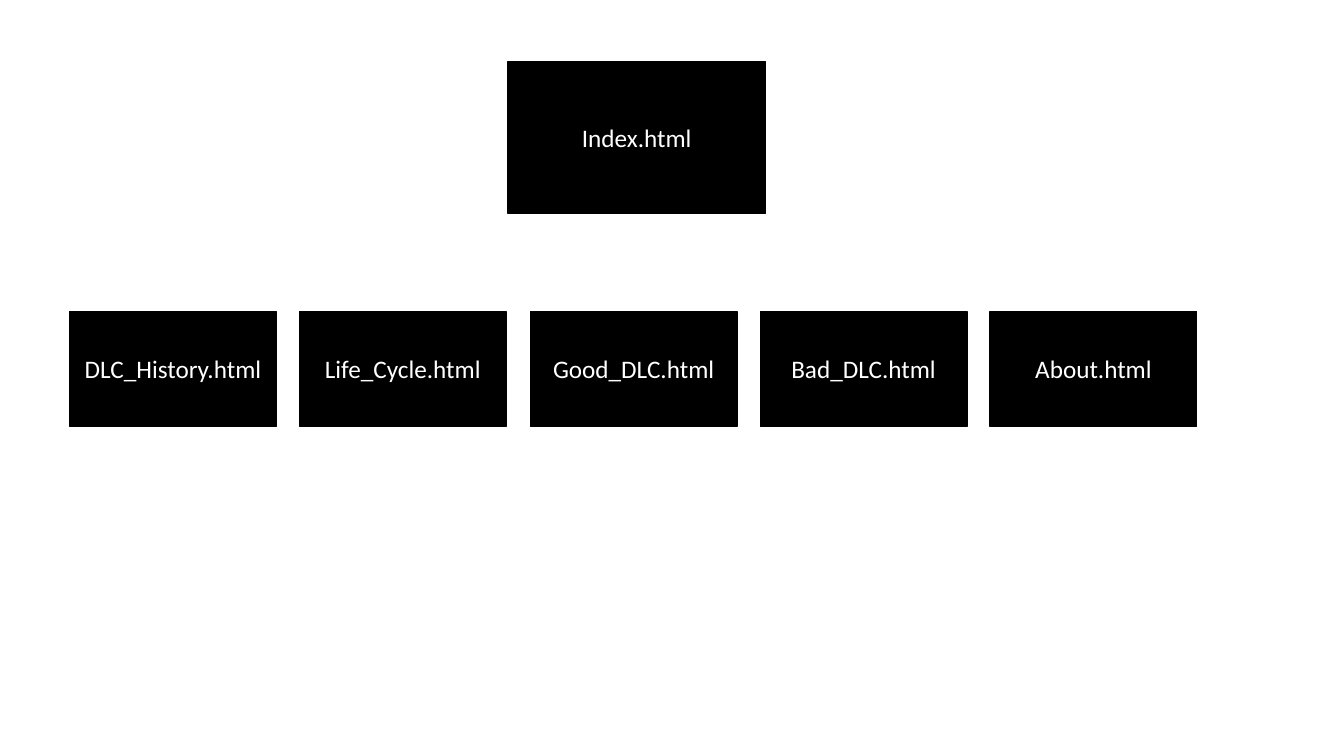
from pptx import Presentation
from pptx.dml.color import RGBColor
from pptx.enum.shapes import MSO_SHAPE
from pptx.enum.text import MSO_ANCHOR, PP_ALIGN
from pptx.util import Inches, Pt

RECTANGLE = MSO_SHAPE.RECTANGLE
MIDDLE = MSO_ANCHOR.MIDDLE
CENTER = PP_ALIGN.CENTER

BLACK = "000000"
WHITE = "FFFFFF"
CHILD_PAGES = [
    "DLC_History.html",
    "Life_Cycle.html",
    "Good_DLC.html",
    "Bad_DLC.html",
    "About.html",
]
CHILD_LEFT = 0.69
CHILD_STEP = 2.2825


def set_color(color_format, value):
    color_format.rgb = RGBColor.from_string(value)


def add_page_box(slide, label, left, top, width, height):
    box = slide.shapes.add_shape(
        RECTANGLE, Inches(left), Inches(top), Inches(width), Inches(height)
    )
    box.shadow.inherit = False
    box.fill.solid()
    set_color(box.fill.fore_color, BLACK)
    set_color(box.line.color, BLACK)
    box.line.width = Pt(1)
    frame = box.text_frame
    frame.word_wrap = True
    frame.vertical_anchor = MIDDLE
    para = frame.paragraphs[0]
    para.alignment = CENTER
    span = para.add_run()
    span.text = label
    span.font.name = "Calibri"
    span.font.size = Pt(18)
    set_color(span.font.color, WHITE)


def main():
    deck = Presentation()
    deck.slide_width = Inches(13.33)
    deck.slide_height = Inches(7.5)
    slide = deck.slides.add_slide(deck.slide_layouts[6])
    add_page_box(slide, "Index.html", 5.04, 0.61, 2.55, 1.51)
    for column, label in enumerate(CHILD_PAGES):
        left = round(CHILD_LEFT + column * CHILD_STEP, 2)
        add_page_box(slide, label, left, 3.09, 2.05, 1.14)
    deck.save("out.pptx")


main()
